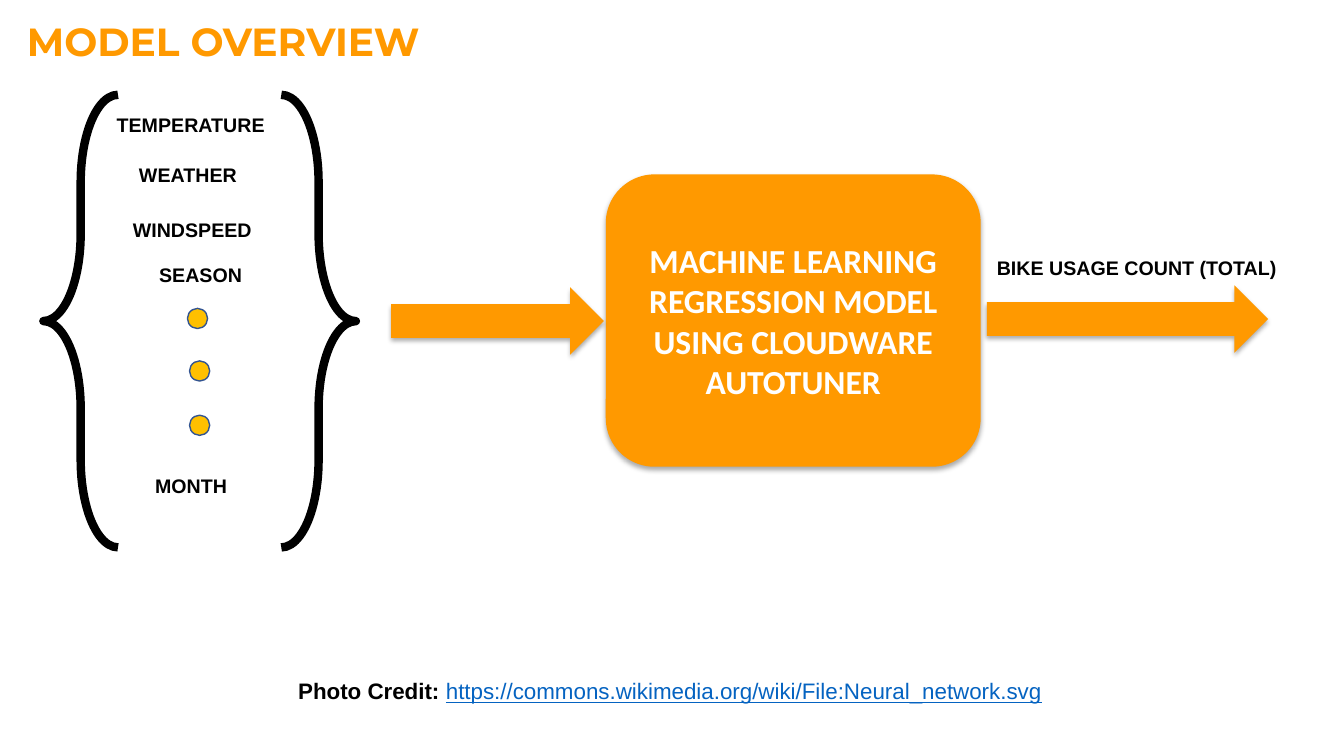
from lxml.etree import SubElement
from pptx import Presentation
from pptx.dml.color import RGBColor
from pptx.enum.shapes import MSO_SHAPE as Preset
from pptx.enum.text import MSO_ANCHOR as Anchor, MSO_AUTO_SIZE as AutoSize, PP_ALIGN as Align
from pptx.oxml.ns import qn
from pptx.util import Pt

COLOURS = {
    "orange": "FF9900",
    "amber": "FFC000",
    "black": "000000",
    "white": "FFFFFF",
    "link": "0563C1",
    "outline": "325491",
}
INPUT_LABELS = [
    ("TEMPERATURE", 76.3, 77, 122.4),
    ("WEATHER", 92.2, 113, 86.4),
    ("WINDSPEED", 87.8, 151.9, 100.1),
    ("SEASON", 106.6, 184.3, 74.2),
    ("MONTH", 103.7, 334.8, 66.2),
]
DOTS = [(133.9, 220.3), (135.4, 257.8), (135.4, 296.6)]
BRACES = [(31, 0), (200.9, 180)]
ARROWS = [(279.4, 205.2, 151.9), (704.9, 203.8, 200.9)]


def colour(name):
    """Return the named palette colour."""
    return RGBColor.from_string(COLOURS[name])


def write(paragraph, text, *, size=14, font="Arial", fill="black", bold=True, underline=None):
    """Append one formatted run to a paragraph."""
    run = paragraph.add_run()
    run.text = text
    run.font.size = Pt(size)
    run.font.name = font
    run.font.bold = bold
    run.font.underline = underline
    run.font.color.rgb = colour(fill)


def add_text_box(slide, left, top, width, height, wrap=False):
    """Add a growing text box and return its first paragraph."""
    frame = slide.shapes.add_textbox(Pt(left), Pt(top), Pt(width), Pt(height)).text_frame
    frame.word_wrap = wrap
    frame.auto_size = AutoSize.SHAPE_TO_FIT_TEXT
    return frame.paragraphs[0]


def add_label(slide, text, left, top, width):
    """Add a one-line bold label."""
    write(add_text_box(slide, left, top, width, 24.5), text)


def add_preset(slide, preset, left, top, width, height, fill=None, line=None, weight=1):
    """Add a preset shape with an optional fill and outline."""
    shape = slide.shapes.add_shape(preset, Pt(left), Pt(top), Pt(width), Pt(height))
    shape.shadow.inherit = False
    if fill:
        shape.fill.solid()
        shape.fill.fore_color.rgb = colour(fill)
    else:
        shape.fill.background()
    if line:
        shape.line.color.rgb = colour(line)
        shape.line.width = Pt(weight)
    else:
        shape.line.fill.background()
    return shape


def add_raised(slide, preset, left, top, width, height):
    """Add an orange shape with a soft shadow below it."""
    shape = add_preset(slide, preset, left, top, width, height, fill="orange")
    effects = shape._element.spPr.find(qn("a:effectLst"))
    shadow = SubElement(effects, qn("a:outerShdw"), blurRad=str(Pt(3.5)), dist=str(Pt(2.2)),
                        dir="5400000", rotWithShape="0")
    tint = SubElement(shadow, qn("a:srgbClr"), val=COLOURS["black"])
    SubElement(tint, qn("a:alpha"), val="32000")
    return shape


def add_model(slide):
    """Add the model box with its centred caption."""
    model = add_raised(slide, Preset.ROUNDED_RECTANGLE, 432.7, 124.6, 267.8, 208.8)
    frame = model.text_frame
    frame.word_wrap = True
    frame.vertical_anchor = Anchor.MIDDLE
    paragraph = frame.paragraphs[0]
    paragraph.alignment = Align.CENTER
    write(paragraph, "MACHINE LEARNING REGRESSION MODEL USING CLOUDWARE AUTOTUNER",
          size=24, font="Calibri", fill="white")


def add_brace(slide, left, rotation):
    """Add one thick brace around the inputs."""
    brace = add_preset(slide, Preset.LEFT_BRACE, left, 67.7, 53.3, 323.3, line="black", weight=6)
    brace.adjustments[0] = 1.173
    brace.adjustments[1] = 0.5
    brace.rotation = rotation


def main():
    """Build the model overview slide."""
    presentation = Presentation()
    presentation.slide_width = Pt(960)
    presentation.slide_height = Pt(540)
    slide = presentation.slides.add_slide(presentation.slide_layouts[6])

    title = add_text_box(slide, 12.2, 8.6, 724.3, 41, wrap=True)
    write(title, "MODEL OVERVIEW", size=28, font="Montserrat", fill="orange")

    add_model(slide)
    for left, top, width in ARROWS:
        add_raised(slide, Preset.RIGHT_ARROW, left, top, width, 48.2)
    for left, rotation in BRACES:
        add_brace(slide, left, rotation)
    for text, left, top, width in INPUT_LABELS:
        add_label(slide, text, left, top, width)
    for left, top in DOTS:
        add_preset(slide, Preset.OVAL, left, top, 14.4, 14.4, fill="amber", line="outline")
    add_label(slide, "BIKE USAGE COUNT (TOTAL)", 704.9, 179.3, 216.7)

    credit = add_text_box(slide, 205.9, 480.2, 571, 46, wrap=True)
    write(credit, "Photo Credit: ", size=16)
    write(credit, "https://commons.wikimedia.org/wiki/File:Neural_network.svg",
          size=16, fill="link", bold=False, underline=True)

    presentation.save("out.pptx")


if __name__ == "__main__":
    main()
